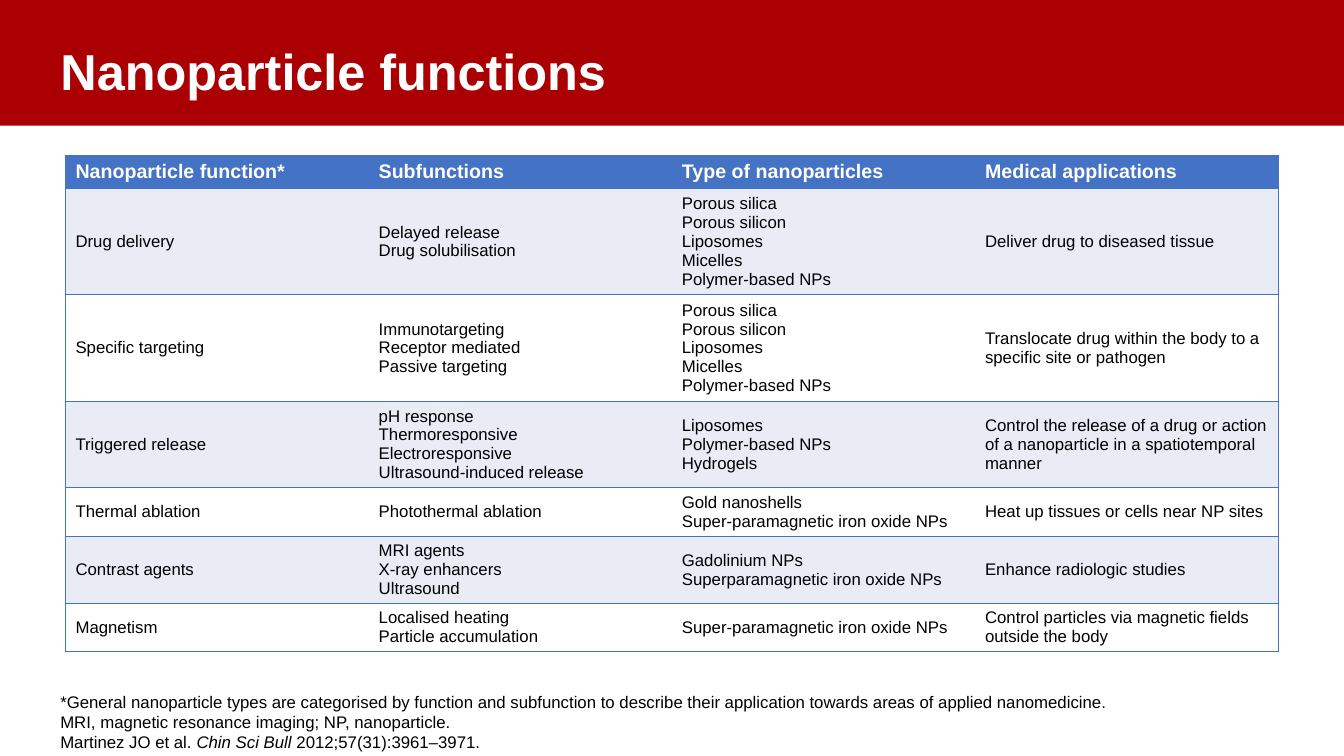
"""Build the slide with the table of nanoparticle functions."""
from dataclasses import dataclass

from lxml.etree import SubElement
from pptx import Presentation
from pptx.dml.color import RGBColor as RGB
from pptx.enum.shapes import MSO_SHAPE as Shape
from pptx.enum.text import MSO_ANCHOR as Anchor, MSO_AUTO_SIZE as AutoSize, PP_ALIGN as Align
from pptx.oxml.ns import qn
from pptx.util import Cm, Pt


@dataclass(frozen=True)
class Theme:
    font: str = "Arial"
    red: RGB = RGB(0xAA, 0x00, 0x04)
    blue: RGB = RGB(0x44, 0x72, 0xC4)
    pale: RGB = RGB(0xE9, 0xEB, 0xF5)
    white: RGB = RGB(0xFF, 0xFF, 0xFF)
    black: RGB = RGB(0x00, 0x00, 0x00)
    title: Pt = Pt(36)
    header: Pt = Pt(14)
    body: Pt = Pt(12)


theme = Theme()


def style(paragraphs, size, color, bold=False):
    for paragraph in paragraphs:
        paragraph.font.name = theme.font
        paragraph.font.size = size
        paragraph.font.color.rgb = color
        paragraph.font.bold = bold


def set_borders(cell, visible):
    properties = cell._tc.get_or_add_tcPr()
    for position, side in enumerate("LRTB"):
        line = SubElement(properties, qn(f"a:ln{side}"), w=str(Pt(1)))
        if side in visible:
            fill = SubElement(line, qn("a:solidFill"))
            SubElement(fill, qn("a:srgbClr"), val=str(theme.blue))
        else:
            SubElement(line, qn("a:noFill"))
        properties.insert(position, line)


deck = Presentation()
deck.slide_width, deck.slide_height = Cm(33.87), Cm(19.05)
slide = deck.slides.add_slide(deck.slide_layouts[5])

title = slide.shapes.title
title.left, title.top, title.width, title.height = Cm(1.27), Cm(0.23), Cm(32.59), Cm(3.3)
title.text_frame.text = "Nanoparticle functions"
title.text_frame.vertical_anchor = Anchor.MIDDLE
title.text_frame.auto_size = AutoSize.NONE
heading = title.text_frame.paragraphs[0]
heading.alignment = Align.LEFT
heading.line_spacing = 0.9
style([heading], theme.title, theme.white, bold=True)

band = slide.shapes.add_shape(Shape.RECTANGLE, 0, 0, deck.slide_width, Cm(3.17))
band.shadow.inherit = False
band.fill.solid()
band.fill.fore_color.rgb = theme.red
band.line.fill.background()
title.element.addprevious(band.element)

drug_carriers = "Porous silica\nPorous silicon\nLiposomes\nMicelles\nPolymer-based NPs"
functions = [
    (0.84, "Nanoparticle function*", "Subfunctions", "Type of nanoparticles", "Medical applications"),
    (2.68, "Drug delivery", "Delayed release\nDrug solubilisation", drug_carriers,
     "Deliver drug to diseased tissue"),
    (2.68, "Specific targeting", "Immunotargeting\nReceptor mediated\nPassive targeting", drug_carriers,
     "Translocate drug within the body to a specific site or pathogen"),
    (2.18, "Triggered release",
     "pH response\nThermoresponsive\nElectroresponsive\nUltrasound-induced release",
     "Liposomes\nPolymer-based NPs\nHydrogels",
     "Control the release of a drug or action of a nanoparticle in a spatiotemporal manner"),
    (1.22, "Thermal ablation", "Photothermal ablation",
     "Gold nanoshells\nSuper-paramagnetic iron oxide NPs", "Heat up tissues or cells near NP sites"),
    (1.7, "Contrast agents", "MRI agents\nX-ray enhancers\nUltrasound",
     "Gadolinium NPs\nSuperparamagnetic iron oxide NPs", "Enhance radiologic studies"),
    (1.2, "Magnetism", "Localised heating\nParticle accumulation",
     "Super-paramagnetic iron oxide NPs", "Control particles via magnetic fields outside the body"),
]
table_height = Cm(sum(height for height, *_ in functions))
overview = slide.shapes.add_table(
    len(functions), 4, Cm(1.65), Cm(3.91), Cm(30.56), table_height).table
for row, (height, *entries) in enumerate(functions):
    overview.rows[row].height = Cm(height)
    for column, entry in enumerate(entries):
        cell = overview.cell(row, column)
        cell.text = entry
        cell.vertical_anchor = Anchor.MIDDLE
        cell.fill.solid()
        if row == 0:
            cell.fill.fore_color.rgb = theme.blue
            style(cell.text_frame.paragraphs, theme.header, theme.white, bold=True)
        else:
            cell.fill.fore_color.rgb = theme.pale if row % 2 else theme.white
            style(cell.text_frame.paragraphs, theme.body, theme.black)
        set_borders(cell, {0: "LTB", 3: "RTB"}.get(column, "TB"))

footnote = slide.shapes.add_textbox(Cm(1.27), Cm(17.81), Cm(27.33), Cm(1.27)).text_frame
footnote.word_wrap = True
footnote.vertical_anchor = Anchor.BOTTOM
footnote.text = ("*General nanoparticle types are categorised by function and subfunction "
                 "to describe their application towards areas of applied nanomedicine.")
source = footnote.add_paragraph()
source.add_run().text = "MRI, magnetic resonance imaging; NP, nanoparticle."
source.add_line_break()
source.add_run().text = "Martinez JO et al. "
journal = source.add_run()
journal.text = "Chin Sci Bull "
journal.font.italic = True
source.add_run().text = "2012;57(31):3961–3971."
style(footnote.paragraphs, theme.body, theme.black)

deck.save("out.pptx")
